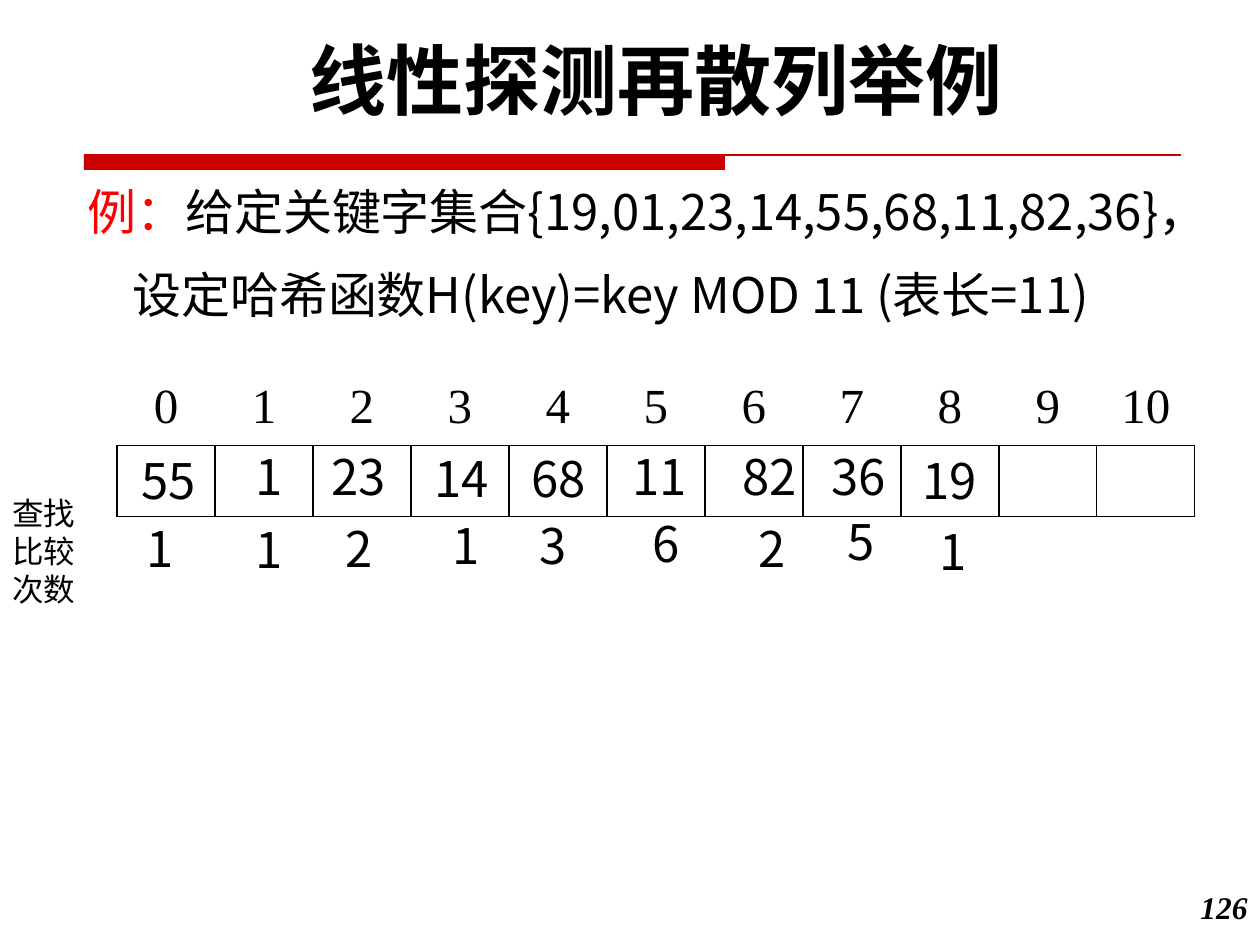
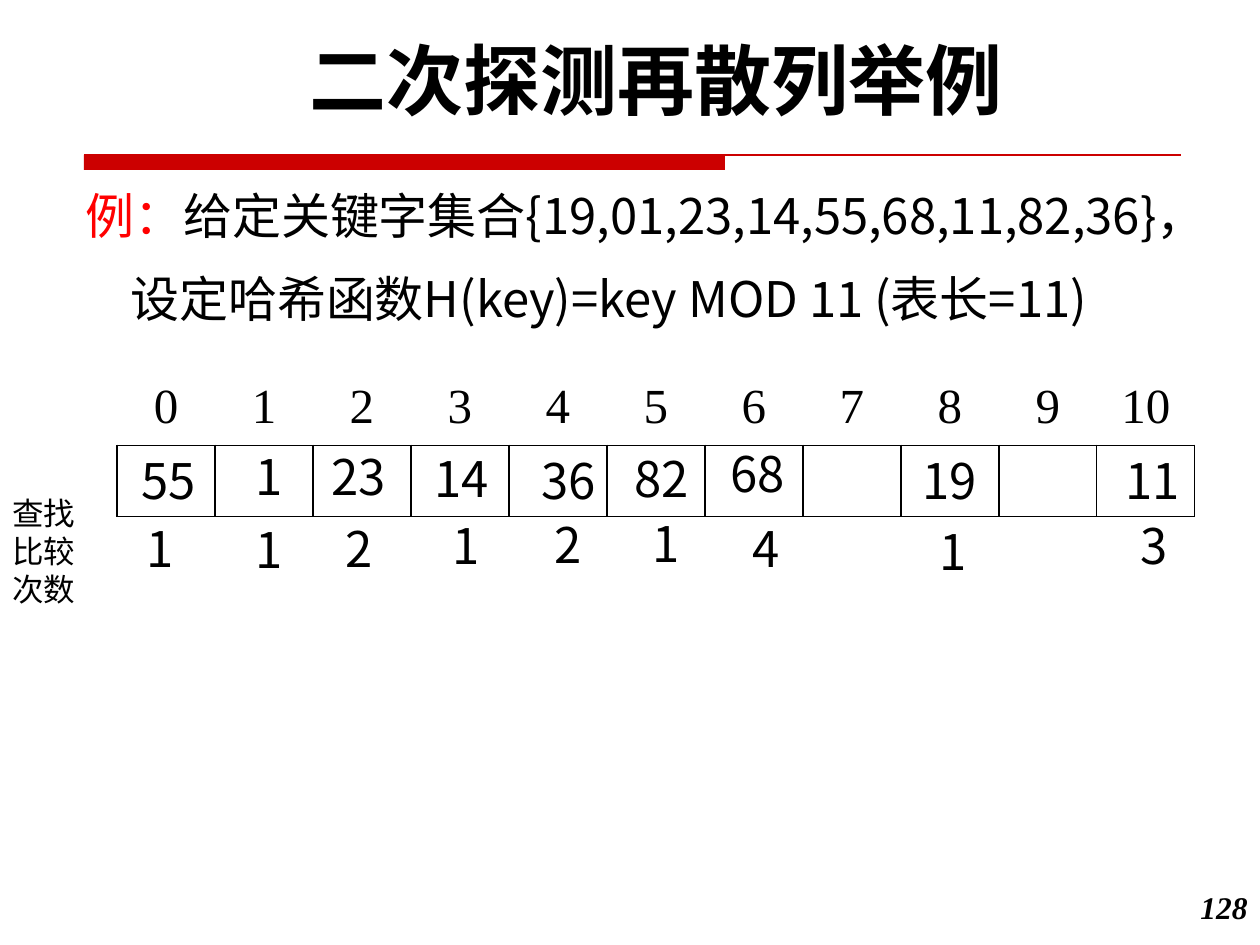
from lxml import etree
from pptx import Presentation
from pptx.dml.color import RGBColor
from pptx.enum.shapes import MSO_CONNECTOR, MSO_SHAPE
from pptx.enum.text import PP_ALIGN
from pptx.oxml.ns import qn
from pptx.util import Pt

LEFT, MID, RIGHT = PP_ALIGN.LEFT, PP_ALIGN.CENTER, PP_ALIGN.RIGHT
RECT, LINE = MSO_SHAPE.RECTANGLE, MSO_CONNECTOR.STRAIGHT
BLACK = RGBColor(0, 0, 0)
RED = RGBColor(255, 0, 0)
BAND = RGBColor(204, 0, 0)
HAN, HEAD, ROMAN = "Noto Sans CJK SC", "Karla", "Times New Roman"
SCALE = 914400 / 126

SLOTS, CELL_W, CELL_H = 11, 98, 71
TASK = [
    [("例：", RED), ("给定关键字集合{19,01,23,14,55,68,11,82,36}，", BLACK)],
    [("设定哈希函数H(key)=key MOD 11 (表长=11)", BLACK)],
]
SHARED = [
    ("19", 910, 444), ("1", 927, 515), ("1", 243, 440), ("1", 243, 513),
    ("23", 319, 440), ("2", 333, 512), ("14", 422, 442), ("1", 440, 509),
    ("55", 129, 444), ("1", 134, 512),
]
LINEAR = [
    ("68", 519, 442), ("3", 527, 509), ("11", 620, 440), ("6", 640, 507),
    ("82", 730, 440), ("2", 746, 512), ("36", 819, 440), ("5", 835, 505),
]
SQUARE = [
    ("68", 718, 437), ("3", 1128, 509), ("11", 1113, 444), ("1", 640, 507),
    ("82", 622, 442), ("4", 740, 512), ("36", 529, 444), ("2", 542, 508),
]


def px(n):
    return round(n * SCALE)


def write(para, text, size=28, font=HAN, color=BLACK, bold=False,
          slant=False, align=LEFT, lead=1.2):
    para.alignment = align
    if lead:
        para.line_spacing = Pt(round(size * lead, 1))
    run = para.add_run()
    run.text = text
    face = run.font
    face.size, face.name, face.bold, face.italic = Pt(size), font, bold, slant
    face.color.rgb = color
    east = etree.SubElement(run._r.get_or_add_rPr(), qn("a:ea"))
    east.set("typeface", HAN)


class Deck:
    def __init__(self):
        self.prs = Presentation()
        self.prs.slide_width, self.prs.slide_height = px(1260), px(945)

    def page(self, title, number):
        self.slide = self.prs.slides.add_slide(self.prs.slide_layouts[6])
        self.shapes = self.slide.shapes
        self.band()
        self.text(number, 1176, 882, 84, 63, size=18, font=ROMAN, bold=True,
                  slant=True, align=RIGHT, lead=None)
        self.text(title, 73, 26, 1166, 106, size=44, font=HEAD, bold=True,
                  align=MID)

    def band(self):
        bar = self.shapes.add_shape(RECT, px(84), px(155), px(641), px(15))
        bar.shadow.inherit = False
        bar.fill.solid()
        bar.fill.fore_color.rgb = BAND
        bar.line.fill.background()
        rule = self.shapes.add_connector(LINE, px(84), px(155), px(1181), px(155))
        rule.line.color.rgb = BAND
        rule.line.width = Pt(0.75)
        etree.SubElement(rule._element.spPr, qn("a:effectLst"))

    def box(self, x, y, w, h):
        frame = self.shapes.add_textbox(px(x), px(y), px(w), px(h)).text_frame
        frame.word_wrap = True
        return frame

    def text(self, text, x, y, w, h, **style):
        frame = self.box(x, y, w, h)
        write(frame.paragraphs[0], text, **style)
        return frame

    def task(self, x, y, w, h):
        frame = self.box(x, y, w, h)
        for i, runs in enumerate(TASK):
            para = frame.add_paragraph() if i else frame.paragraphs[0]
            if i:
                para.space_before = Pt(14)
                para._p.get_or_add_pPr().set("marL", str(px(45)))
            for text, color in runs:
                write(para, text, color=color)

    def edge(self, cell, sides):
        props = cell._tc.get_or_add_tcPr()
        for side in "LRTB":
            line = etree.SubElement(props, qn(f"a:ln{side}"), w=str(Pt(1)))
            if side in sides:
                fill = etree.SubElement(line, qn("a:solidFill"))
                etree.SubElement(fill, qn("a:srgbClr"), val=str(BLACK))
            else:
                etree.SubElement(line, qn("a:noFill"))
        cell.fill.background()

    def table(self, x, y):
        grid = self.shapes.add_table(2, SLOTS, px(x), px(y),
                                     px(SLOTS * CELL_W), px(2 * CELL_H)).table
        grid.first_row = grid.horz_banding = False
        for i in range(SLOTS):
            head, slot = grid.cell(0, i), grid.cell(1, i)
            write(head.text_frame.paragraphs[0], str(i), font=ROMAN,
                  align=MID, lead=None)
            self.edge(head, "B")
            self.edge(slot, "LRTB")

    def marks(self, items):
        for text, x, y in items:
            self.text(text, x, y, 79, 72).margin_right = 0


def main():
    deck = Deck()
    for title, number, place, items in [
        ("线性探测再散列举例", "126", (75, 175, 1207, 169), LINEAR),
        ("二次探测再散列举例", "128", (73, 179, 1207, 338), SQUARE),
    ]:
        deck.page(title, number)
        deck.task(*place)
        deck.table(117, 374)
        deck.text("查找比较次数", 0, 488, 117, 127, size=18)
        deck.marks(SHARED + items)
    deck.prs.save("out.pptx")


if __name__ == "__main__":
    main()
